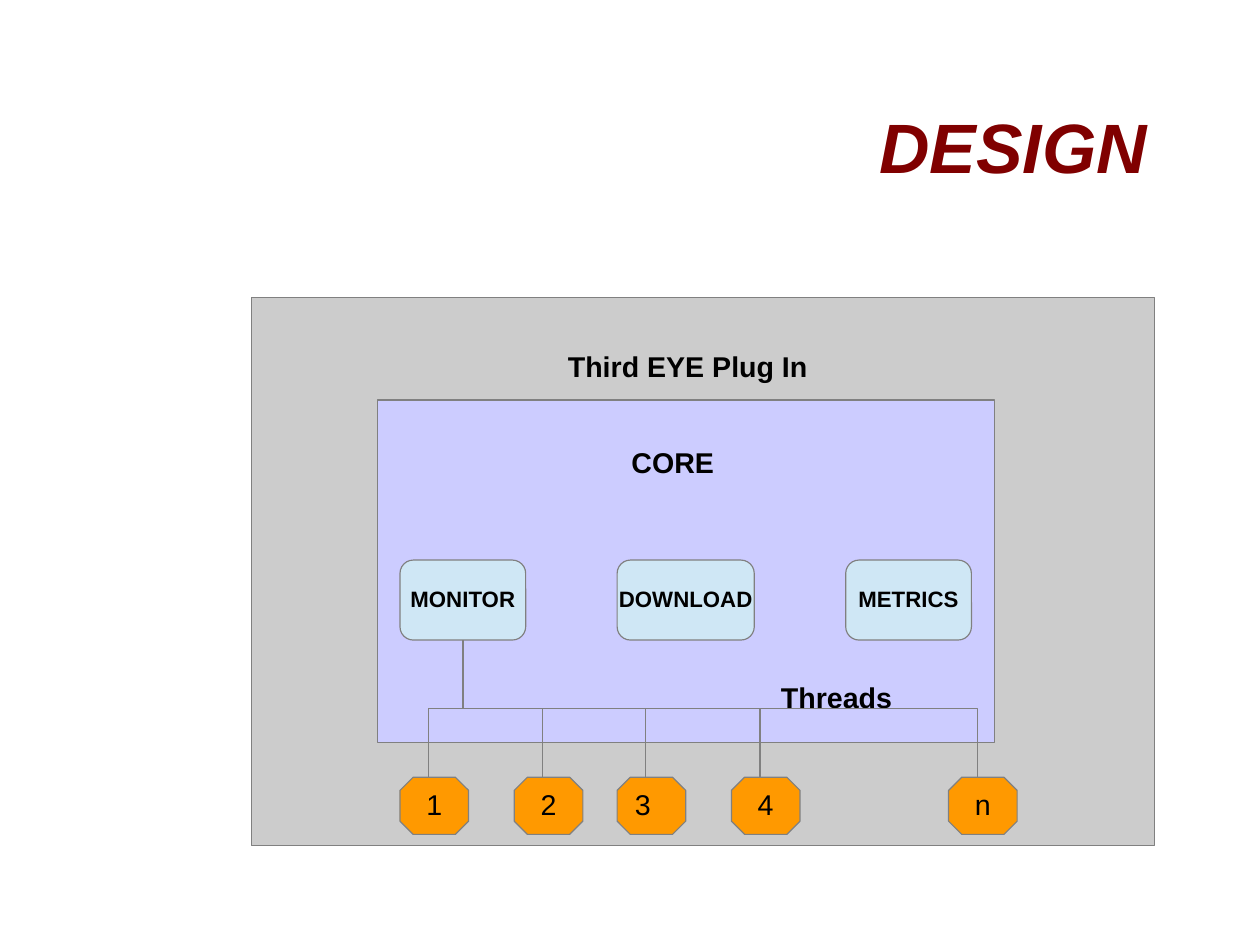
"""Build the DESIGN slide: plug-in, core, modules and monitor threads."""
from dataclasses import dataclass

from lxml import etree
from pptx import Presentation
from pptx.dml.color import RGBColor
from pptx.enum import shapes, text
from pptx.oxml.ns import qn
from pptx.util import Pt


@dataclass(frozen=True)
class Theme:
    """Colours, font and sizes of the slide."""
    font: str = "Arial"
    title: str = "800000"
    ink: str = "000000"
    line: str = "808080"
    plugin: str = "CCCCCC"
    core: str = "CCCCFF"
    module: str = "CFE7F5"
    thread: str = "FF9900"
    title_size: float = 44
    label_size: float = 18
    module_size: float = 14
    line_width: float = 0.75
    spacing: float = 0.93


THEME = Theme()
KIND = shapes.MSO_SHAPE
ALIGN = text.PP_ALIGN


def write(shape, words, size, align, color=THEME.ink, bold=True, italic=False, inset=0):
    """Write one unwrapped, vertically centred line of text."""
    tf = shape.text_frame
    tf.word_wrap = False
    tf.vertical_anchor = text.MSO_ANCHOR.MIDDLE
    tf.margin_left = tf.margin_right = Pt(inset)
    tf.margin_top = tf.margin_bottom = Pt(0)
    p = tf.paragraphs[0]
    p.alignment = align
    p.line_spacing = THEME.spacing
    r = p.add_run()
    r.text = words
    r.font.name = THEME.font
    r.font.size = Pt(size)
    r.font.bold = bold
    r.font.italic = italic
    r.font.color.rgb = RGBColor.from_string(color)


def outline(line):
    """Apply the common thin grey line."""
    line.color.rgb = RGBColor.from_string(THEME.line)
    line.width = Pt(THEME.line_width)


def add_box(s, kind, x, y, w, h, fill):
    """Add a filled, outlined shape."""
    sp = s.shapes.add_shape(kind, Pt(x), Pt(y), Pt(w), Pt(h))
    sp.shadow.inherit = False
    sp.fill.solid()
    sp.fill.fore_color.rgb = RGBColor.from_string(fill)
    outline(sp.line)
    return sp


def add_label(s, words, x, y, w):
    """Add a bold left-aligned label."""
    sp = s.shapes.add_textbox(Pt(x), Pt(y), Pt(w), Pt(24))
    write(sp, words, THEME.label_size, ALIGN.LEFT)


def add_module(s, words, x, w):
    """Add a rounded module box inside the core."""
    sp = add_box(s, KIND.ROUNDED_RECTANGLE, x, 352.8, w, 50.4, THEME.module)
    write(sp, words, THEME.module_size, ALIGN.CENTER)


def add_thread(s, words, x, y, align):
    """Add an octagonal thread node."""
    sp = add_box(s, KIND.OCTAGON, x, y, 43.2, 36, THEME.thread)
    sp.adjustments[0] = 0.23
    write(sp, words, THEME.label_size, align, bold=False, inset=7.2)


def add_branch(s, x, bottom, trunk_x, top):
    """Add an elbow that rises from a thread, crosses over and rises to the trunk."""
    side = 1 if x > trunk_x else -1
    cx, cy = (x + trunk_x) / 2, (top + bottom) / 2
    half_run, half_rise = side * (bottom - top) / 2, abs(x - trunk_x) / 2
    c = s.shapes.add_connector(
        shapes.MSO_CONNECTOR.ELBOW,
        Pt(cx - half_run), Pt(cy + half_rise), Pt(cx + half_run), Pt(cy - half_rise))
    c._element.spPr.find(qn("a:xfrm")).set("rot", str(-90 * side % 360 * 60000))
    outline(c.line)
    etree.SubElement(c._element.spPr, qn("a:effectLst"))


def main():
    """Compose and save the slide."""
    prs = Presentation()
    prs.slide_width, prs.slide_height = Pt(793.75), Pt(595.25)
    s = prs.slides.add_slide(prs.slide_layouts[6])

    title = s.shapes.add_textbox(Pt(56.88), Pt(54), Pt(666), Pt(80.64))
    write(title, "DESIGN", THEME.title_size, ALIGN.RIGHT, THEME.title, italic=True)

    add_box(s, KIND.RECTANGLE, 158.4, 187.2, 568.8, 345.6, THEME.plugin)
    add_box(s, KIND.RECTANGLE, 237.6, 252, 388.8, 216, THEME.core)
    add_label(s, "Third EYE Plug In", 357.8, 220, 152)
    add_label(s, "CORE", 397.8, 280.5, 54)
    add_label(s, "Threads", 492, 428, 72)

    add_module(s, "MONITOR", 252, 79.2)
    add_module(s, "DOWNLOAD", 388.8, 86.4)
    add_module(s, "METRICS", 532.8, 79.2)

    monitor_x, monitor_bottom, thread_y = 291.6, 403.2, 489.6
    threads = {"1": 252, "2": 324, "3": 388.8, "4": 460.8, "n": 597.6}
    for words, x in threads.items():
        align = ALIGN.LEFT if words == "3" else ALIGN.CENTER
        add_thread(s, words, x, thread_y, align)
        add_branch(s, x + 18, thread_y, monitor_x, monitor_bottom)

    prs.save("out.pptx")


if __name__ == "__main__":
    main()
